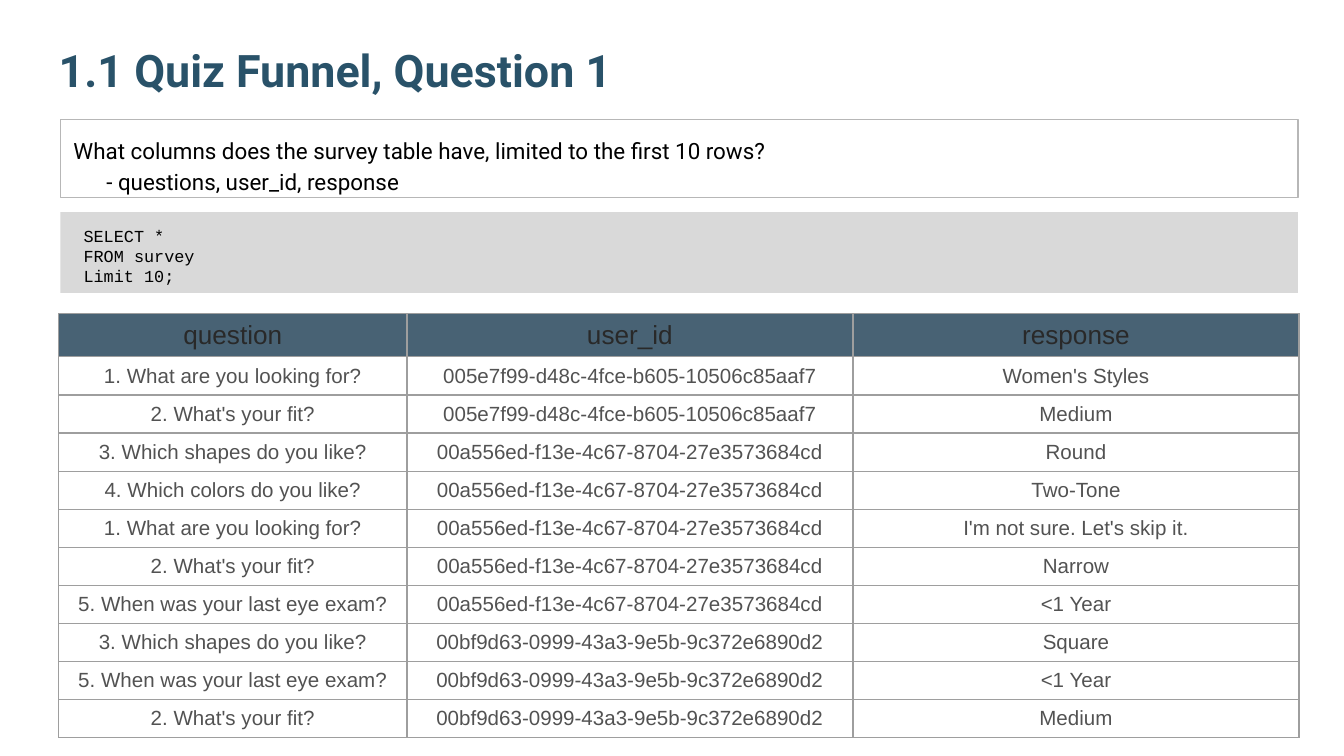
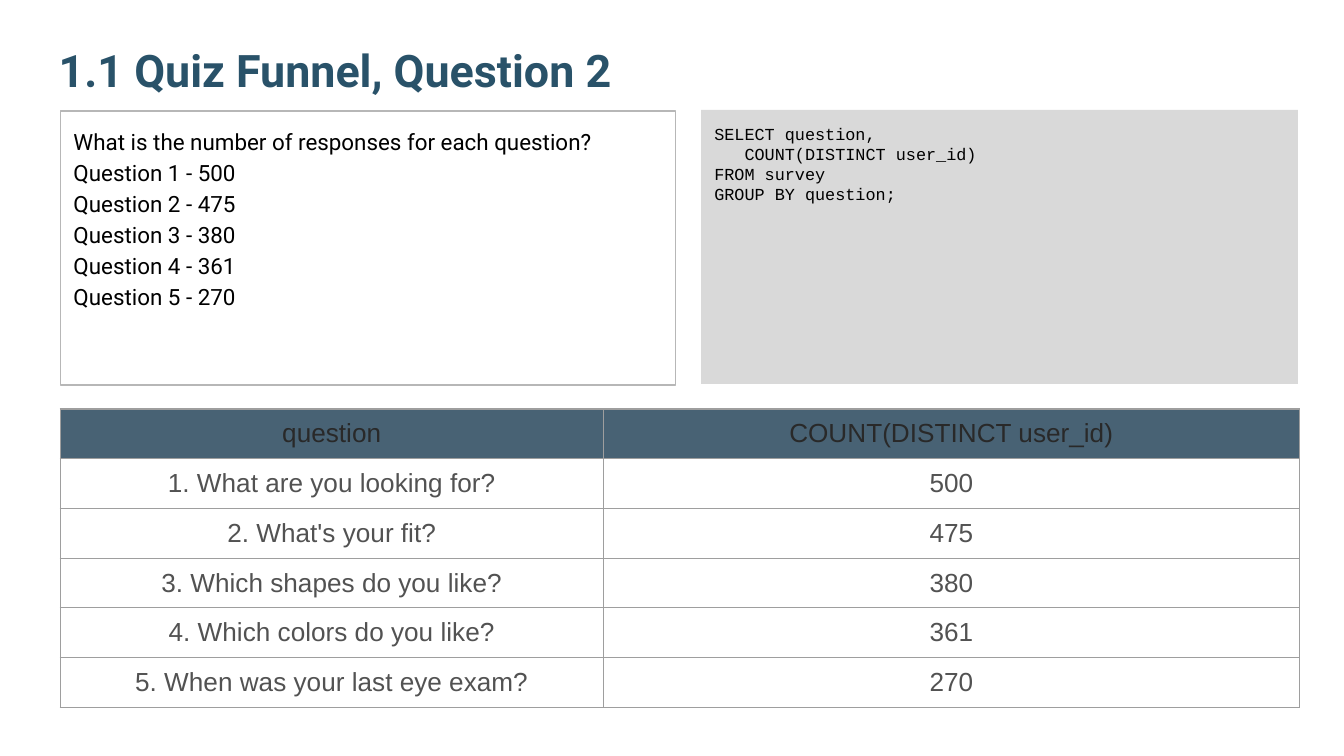
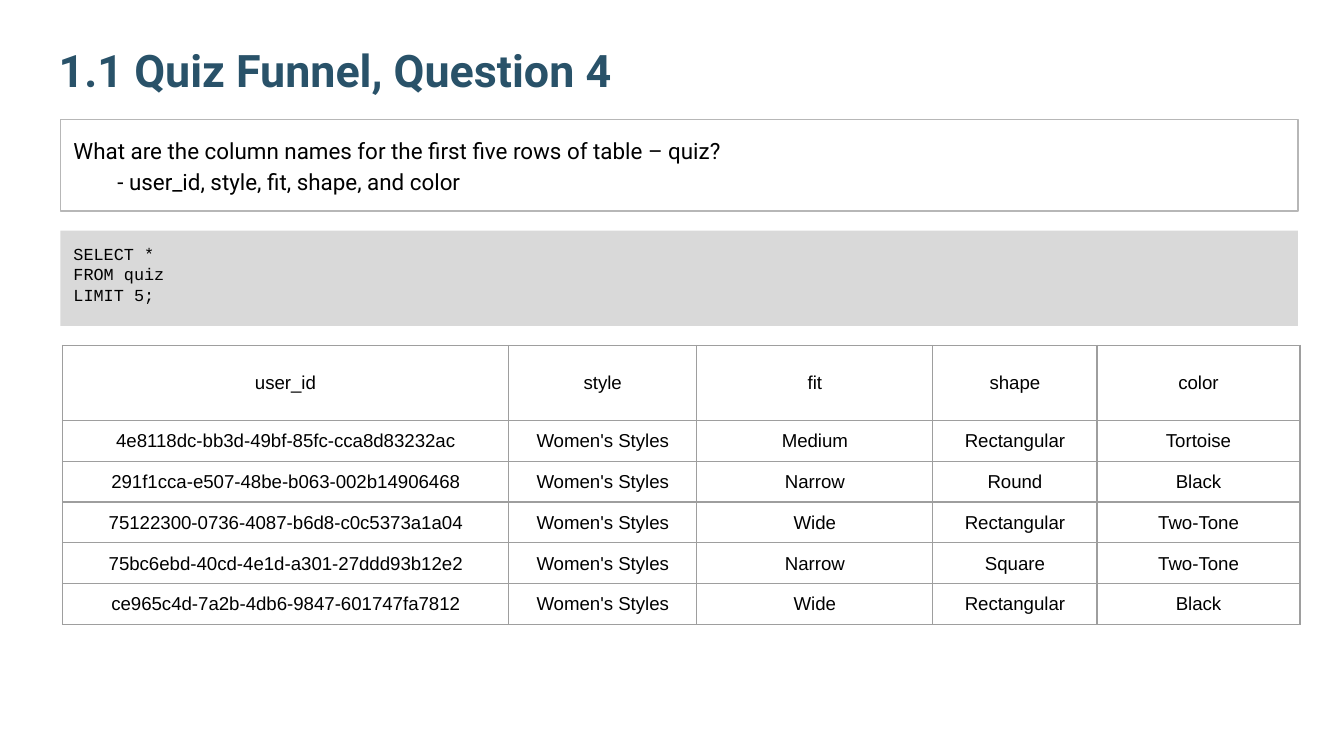
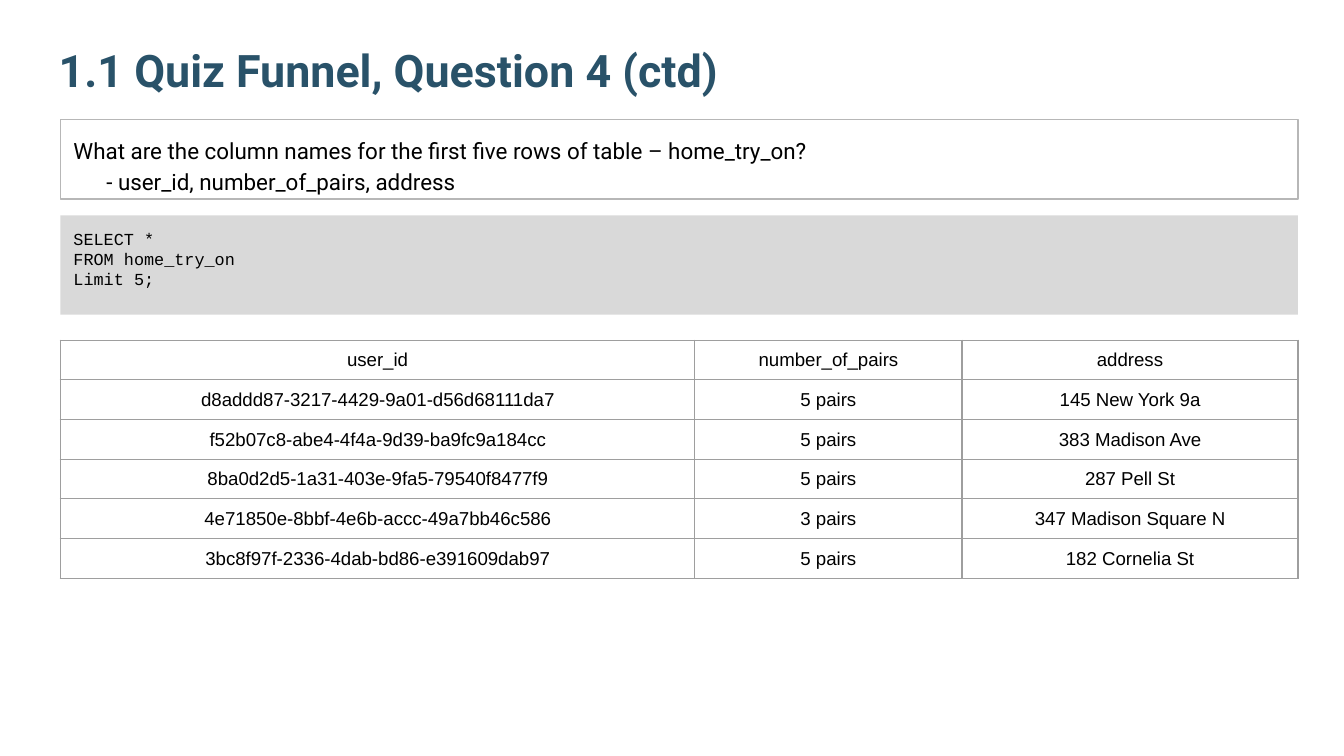
from lxml import etree
from pptx import Presentation
from pptx.dml.color import RGBColor
from pptx.enum.shapes import MSO_SHAPE
from pptx.enum.text import MSO_ANCHOR, MSO_AUTO_SIZE, PP_ALIGN
from pptx.oxml.ns import qn
from pptx.util import Cm, Pt

TITLE_BLUE = RGBColor(0x29, 0x52, 0x69)
HEADER_BLUE = RGBColor(0x20, 0x40, 0x56)
CODE_GRAY = RGBColor(0xD9, 0xD9, 0xD9)
BOX_LINE = RGBColor(0xB7, 0xB7, 0xB7)
GRID_LINE = RGBColor(0x9E, 0x9E, 0x9E)
HEADER_TEXT = RGBColor(0x29, 0x29, 0x29)
CELL_TEXT = RGBColor(0x52, 0x52, 0x52)
BLACK = RGBColor(0, 0, 0)

LEFT, FULL_WIDTH = 1.14, 23.39
INSET = 0.25
HEADER_OPACITY = 82
TITLE_BOX = (0.86, 0.48, 23.67, 1.6)

TITLE_FONT = {"name": "Roboto", "size": Pt(24), "bold": True}
QUESTION_FONT = {"name": "Roboto", "size": Pt(12)}
CODE_FONT = {"name": "Courier New", "size": Pt(9)}

BANDED = {"header_size": 14, "header_color": HEADER_TEXT, "color": CELL_TEXT,
          "header_fill": HEADER_BLUE, "margins": (0.25, 0.13, 0.25, 0.13)}
PLAIN = {"header_size": 10, "header_color": BLACK, "color": BLACK,
         "header_fill": None, "margins": (0.02, 0.02, 0.02, 0)}

LOOKING = "1. What are you looking for?"
FIT = "2. What's your fit?"
SHAPES = "3. Which shapes do you like?"
COLORS = "4. Which colors do you like?"
EXAM = "5. When was your last eye exam?"
USER_A = "005e7f99-d48c-4fce-b605-10506c85aaf7"
USER_B = "00a556ed-f13e-4c67-8704-27e3573684cd"
USER_C = "00bf9d63-0999-43a3-9e5b-9c372e6890d2"

SLIDES = [
    {
        "title": "1.1 Quiz Funnel, Question 1",
        "question": ["What columns does the survey table have, limited to the first 10 rows?",
                     "- questions, user_id, response"],
        "answer_indent": 0.62,
        "question_box": (LEFT, 2.26, FULL_WIDTH, 1.48),
        "code": [" SELECT *", " FROM survey", " Limit 10;"],
        "code_box": (LEFT, 4.01, FULL_WIDTH, 1.53),
        "table": {
            "style": BANDED, "size": 11, "position": (1.11, 5.93),
            "columns": (6.58, 8.43, 8.43), "header_height": 0.81, "row_height": 0.72,
            "rows": [
                ("question", "user_id", "response"),
                (LOOKING, USER_A, "Women's Styles"),
                (FIT, USER_A, "Medium"),
                (SHAPES, USER_B, "Round"),
                (COLORS, USER_B, "Two-Tone"),
                (LOOKING, USER_B, "I'm not sure. Let's skip it."),
                (FIT, USER_B, "Narrow"),
                (EXAM, USER_B, "<1 Year"),
                (SHAPES, USER_C, "Square"),
                (EXAM, USER_C, "<1 Year"),
                (FIT, USER_C, "Medium"),
            ],
        },
    },
    {
        "title": "1.1 Quiz Funnel, Question 2",
        "question": ["What is the number of responses for each question?",
                     "Question 1 - 500", "Question 2 - 475", "Question 3 - 380",
                     "Question 4 - 361", "Question 5 - 270"],
        "answer_indent": 0,
        "question_box": (LEFT, 2.1, 11.63, 5.18),
        "code": ["SELECT question,", "   COUNT(DISTINCT user_id)",
                 "FROM survey", "GROUP BY question;"],
        "code_box": (13.25, 2.08, 11.28, 5.18),
        "table": {
            "style": BANDED, "size": 14, "position": (LEFT, 7.73),
            "columns": (10.26, 13.16), "header_height": 0.94, "row_height": 0.94,
            "rows": [
                ("question", "COUNT(DISTINCT user_id)"),
                (LOOKING, "500"),
                (FIT, "475"),
                (SHAPES, "380"),
                (COLORS, "361"),
                (EXAM, "270"),
            ],
        },
    },
    {
        "title": "1.1 Quiz Funnel, Question 4",
        "question": ["What are the column names for the first five rows of table – quiz?",
                     "- user_id, style, fit, shape, and color"],
        "answer_indent": 0.83,
        "question_box": (LEFT, 2.26, FULL_WIDTH, 1.73),
        "code": ["SELECT *", "FROM quiz", "LIMIT 5;"],
        "code_box": (LEFT, 4.36, FULL_WIDTH, 1.8),
        "table": {
            "style": PLAIN, "size": 10, "position": (1.18, 6.53),
            "columns": (8.43, 3.56, 4.46, 3.1, 3.84), "header_height": 1.42, "row_height": 0.77,
            "rows": [
                ("user_id", "style", "fit", "shape", "color"),
                ("4e8118dc-bb3d-49bf-85fc-cca8d83232ac", "Women's Styles", "Medium", "Rectangular", "Tortoise"),
                ("291f1cca-e507-48be-b063-002b14906468", "Women's Styles", "Narrow", "Round", "Black"),
                ("75122300-0736-4087-b6d8-c0c5373a1a04", "Women's Styles", "Wide", "Rectangular", "Two-Tone"),
                ("75bc6ebd-40cd-4e1d-a301-27ddd93b12e2", "Women's Styles", "Narrow", "Square", "Two-Tone"),
                ("ce965c4d-7a2b-4db6-9847-601747fa7812", "Women's Styles", "Wide", "Rectangular", "Black"),
            ],
        },
    },
    {
        "title": "1.1 Quiz Funnel, Question 4 (ctd)",
        "question": ["What are the column names for the first five rows of table – home_try_on?",
                     "- user_id, number_of_pairs, address"],
        "answer_indent": 0.62,
        "question_box": (LEFT, 2.26, FULL_WIDTH, 1.5),
        "code": ["SELECT *", "FROM home_try_on", "Limit 5;"],
        "code_box": (LEFT, 4.07, FULL_WIDTH, 1.88),
        "table": {
            "style": PLAIN, "size": 10, "position": (LEFT, 6.43),
            "columns": (11.99, 5.05, 6.35), "header_height": 0.75, "row_height": 0.75,
            "rows": [
                ("user_id", "number_of_pairs", "address"),
                ("d8addd87-3217-4429-9a01-d56d68111da7", "5 pairs", "145 New York 9a"),
                ("f52b07c8-abe4-4f4a-9d39-ba9fc9a184cc", "5 pairs", "383 Madison Ave"),
                ("8ba0d2d5-1a31-403e-9fa5-79540f8477f9", "5 pairs", "287 Pell St"),
                ("4e71850e-8bbf-4e6b-accc-49a7bb46c586", "3 pairs", "347 Madison Square N"),
                ("3bc8f97f-2336-4dab-bd86-e391609dab97", "5 pairs", "182 Cornelia St"),
            ],
        },
    },
]


def set_attributes(target, values):
    for name, value in values.items():
        setattr(target, name, value)


def set_margins(target, margins):
    sides = ("margin_left", "margin_top", "margin_right", "margin_bottom")
    set_attributes(target, {side: Cm(margin) for side, margin in zip(sides, margins)})


def write_lines(shape, lines, font, color, anchor=MSO_ANCHOR.TOP, line_spacing=1.0, indent=0):
    frame = shape.text_frame
    set_attributes(frame, {"word_wrap": True, "auto_size": MSO_AUTO_SIZE.NONE,
                           "vertical_anchor": anchor})
    set_margins(frame, (INSET,) * 4)
    frame.text = "\n".join(lines)
    for index, paragraph in enumerate(frame.paragraphs):
        set_attributes(paragraph, {"alignment": PP_ALIGN.LEFT, "line_spacing": line_spacing})
        if index and indent:
            paragraph._p.get_or_add_pPr().set("marL", str(Cm(indent)))
        set_attributes(paragraph.font, font)
        paragraph.font.color.rgb = color


def add_title(slide, text):
    title = slide.shapes.title
    left, top, width, height = map(Cm, TITLE_BOX)
    set_attributes(title, {"left": left, "top": top, "width": width, "height": height})
    write_lines(title, [text], TITLE_FONT, TITLE_BLUE, MSO_ANCHOR.BOTTOM)


def add_box(slide, box, fill=None, line=None):
    shape = slide.shapes.add_shape(MSO_SHAPE.RECTANGLE, *map(Cm, box))
    shape.shadow.inherit = False
    if fill is None:
        shape.fill.background()
    else:
        shape.fill.solid()
        shape.fill.fore_color.rgb = fill
    if line is None:
        shape.line.fill.background()
    else:
        shape.line.color.rgb = line
        shape.line.width = Pt(0.75)
    return shape


def add_borders(cell):
    properties = cell._tc.get_or_add_tcPr()
    for side in ("a:lnL", "a:lnR", "a:lnT", "a:lnB"):
        border = etree.SubElement(properties, qn(side), w=str(Pt(0.75)))
        solid = etree.SubElement(border, qn("a:solidFill"))
        etree.SubElement(solid, qn("a:srgbClr"), val=str(GRID_LINE))


def fill_cell(cell, color):
    if color is None:
        cell.fill.background()
        return
    cell.fill.solid()
    cell.fill.fore_color.rgb = color
    solid = cell._tc.tcPr.find(qn("a:solidFill"))
    etree.SubElement(solid[0], qn("a:alpha"), val=str(HEADER_OPACITY * 1000))


def format_cell(cell, text, size, color, fill, margins):
    cell.text = text
    cell.vertical_anchor = MSO_ANCHOR.MIDDLE
    set_margins(cell, margins)
    add_borders(cell)
    fill_cell(cell, fill)
    paragraph = cell.text_frame.paragraphs[0]
    paragraph.alignment = PP_ALIGN.CENTER
    set_attributes(paragraph.font, {"name": "Arial", "size": Pt(size), "bold": False})
    paragraph.font.color.rgb = color


def add_result_table(slide, content):
    rows, columns, style = content["rows"], content["columns"], content["style"]
    heights = [content["header_height"]] + [content["row_height"]] * (len(rows) - 1)
    frame = slide.shapes.add_table(len(rows), len(columns), *map(Cm, content["position"]),
                                   Cm(sum(columns)), Cm(sum(heights)))
    table = frame.table
    set_attributes(table, {"first_row": False, "horz_banding": False})
    for column, width in zip(table.columns, columns):
        column.width = Cm(width)
    header_format = (style["header_size"], style["header_color"], style["header_fill"])
    body_format = (content["size"], style["color"], None)
    for row_index, (row, height, texts) in enumerate(zip(table.rows, heights, rows)):
        row.height = Cm(height)
        cell_format = body_format if row_index else header_format
        for cell, text in zip(row.cells, texts):
            format_cell(cell, text, *cell_format, style["margins"])


def add_query_slide(presentation, content):
    slide = presentation.slides.add_slide(presentation.slide_layouts.get_by_name("Title Only"))
    add_title(slide, content["title"])
    code = add_box(slide, content["code_box"], fill=CODE_GRAY)
    write_lines(code, content["code"], CODE_FONT, BLACK)
    question = add_box(slide, content["question_box"], line=BOX_LINE)
    write_lines(question, content["question"], QUESTION_FONT, BLACK,
                line_spacing=1.15, indent=content["answer_indent"])
    add_result_table(slide, content["table"])


def main():
    presentation = Presentation()
    set_attributes(presentation, {"slide_width": Cm(25.4), "slide_height": Cm(14.29)})
    for content in SLIDES:
        add_query_slide(presentation, content)
    presentation.save("out.pptx")


if __name__ == "__main__":
    main()
